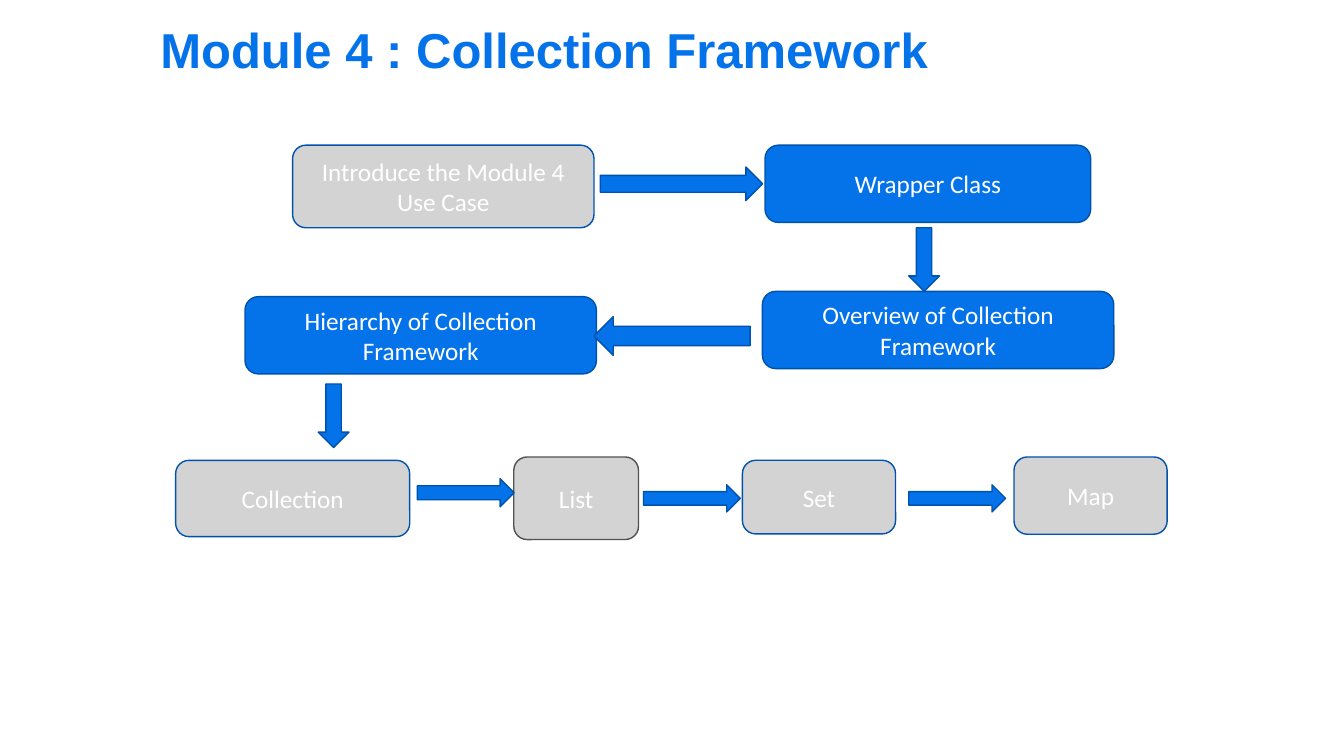
from pptx import Presentation
from pptx.dml.color import RGBColor
from pptx.enum.shapes import MSO_SHAPE
from pptx.enum.text import MSO_ANCHOR, PP_ALIGN
from pptx.util import Pt

COLORS = {
    "blue": "0473EA",
    "edge": "0152AC",
    "grey": "D3D3D3",
    "dark": "525254",
    "white": "FFFFFF",
}
RADIUS = 9.5
TOPICS = [
    ("Introduce the Module 4 Use Case", 209, 103.7, 215.3, 59, "grey", "edge"),
    ("Wrapper Class", 546.5, 103.7, 232.6, 55.2, "blue", "edge"),
    ("Overview of Collection Framework", 544.6, 208.1, 251, 55.2, "blue", "edge"),
    ("Hierarchy of Collection Framework", 175, 211.9, 251, 55.2, "blue", "edge"),
    ("Collection", 125.5, 328.8, 167.2, 54.5, "grey", "edge"),
    ("List", 367, 326.4, 89.1, 59, "grey", "dark"),
    ("Set", 530.3, 328.8, 109.4, 52.6, "grey", "edge"),
    ("Map", 724.3, 326.4, 109.4, 55.2, "grey", "edge"),
]
ARROWS = [
    (MSO_SHAPE.RIGHT_ARROW, 428.8, 119.3, 116, 24),
    (MSO_SHAPE.DOWN_ARROW, 649.1, 162.7, 22, 45.4),
    (MSO_SHAPE.LEFT_ARROW, 424.2, 226.2, 111.6, 27.6),
    (MSO_SHAPE.DOWN_ARROW, 227.3, 274.3, 22, 45.4),
    (MSO_SHAPE.RIGHT_ARROW, 298, 342, 69.2, 20),
    (MSO_SHAPE.RIGHT_ARROW, 459.6, 346.3, 69.2, 19.4),
    (MSO_SHAPE.RIGHT_ARROW, 649.1, 346.3, 69.2, 19.4),
]


def rgb(name):
    """Return the named colour."""
    return RGBColor.from_string(COLORS[name])


def set_text(sp, text, font, size, color, bold=False):
    """Write one formatted paragraph and return it."""
    tf = sp.text_frame
    tf.word_wrap = True
    tf.margin_top = tf.margin_bottom = 0
    p = tf.paragraphs[0]
    p.text = text
    r = p.runs[0]
    r.font.name = font
    r.font.size = Pt(size)
    r.font.bold = bold
    r.font.color.rgb = rgb(color)
    return p


def add_title(s, text):
    """Add the slide heading."""
    sp = s.shapes.add_textbox(Pt(114.5), Pt(13.7), Pt(600), Pt(44))
    sp.text_frame.margin_left = sp.text_frame.margin_right = 0
    p = set_text(sp, text, "Arial", 35, "blue", True)
    p.space_before = Pt(1)


def add_filled(s, kind, x, y, w, h, fill, line):
    """Add a flat preset shape with a thin outline."""
    sp = s.shapes.add_shape(kind, Pt(x), Pt(y), Pt(w), Pt(h))
    sp.shadow.inherit = False
    sp.fill.solid()
    sp.fill.fore_color.rgb = rgb(fill)
    sp.line.color.rgb = rgb(line)
    sp.line.width = Pt(1)
    return sp


def add_topic(s, text, x, y, w, h, fill, line):
    """Add a rounded topic box with its centred label."""
    sp = add_filled(s, MSO_SHAPE.ROUNDED_RECTANGLE, x, y, w, h, fill, line)
    sp.adjustments[0] = RADIUS / min(w, h)
    tf = sp.text_frame
    tf.margin_left = tf.margin_right = Pt(14)
    tf.vertical_anchor = MSO_ANCHOR.MIDDLE
    p = set_text(sp, text, "Calibri", 18, "white")
    p.alignment = PP_ALIGN.CENTER


def main():
    """Build the module roadmap slide."""
    prs = Presentation()
    prs.slide_width, prs.slide_height = Pt(960), Pt(540)
    s = prs.slides.add_slide(prs.slide_layouts[6])
    add_title(s, "Module 4 : Collection Framework")
    for topic in TOPICS:
        add_topic(s, *topic)
    for arrow in ARROWS:
        add_filled(s, *arrow, "blue", "edge")
    prs.save("out.pptx")


if __name__ == "__main__":
    main()
